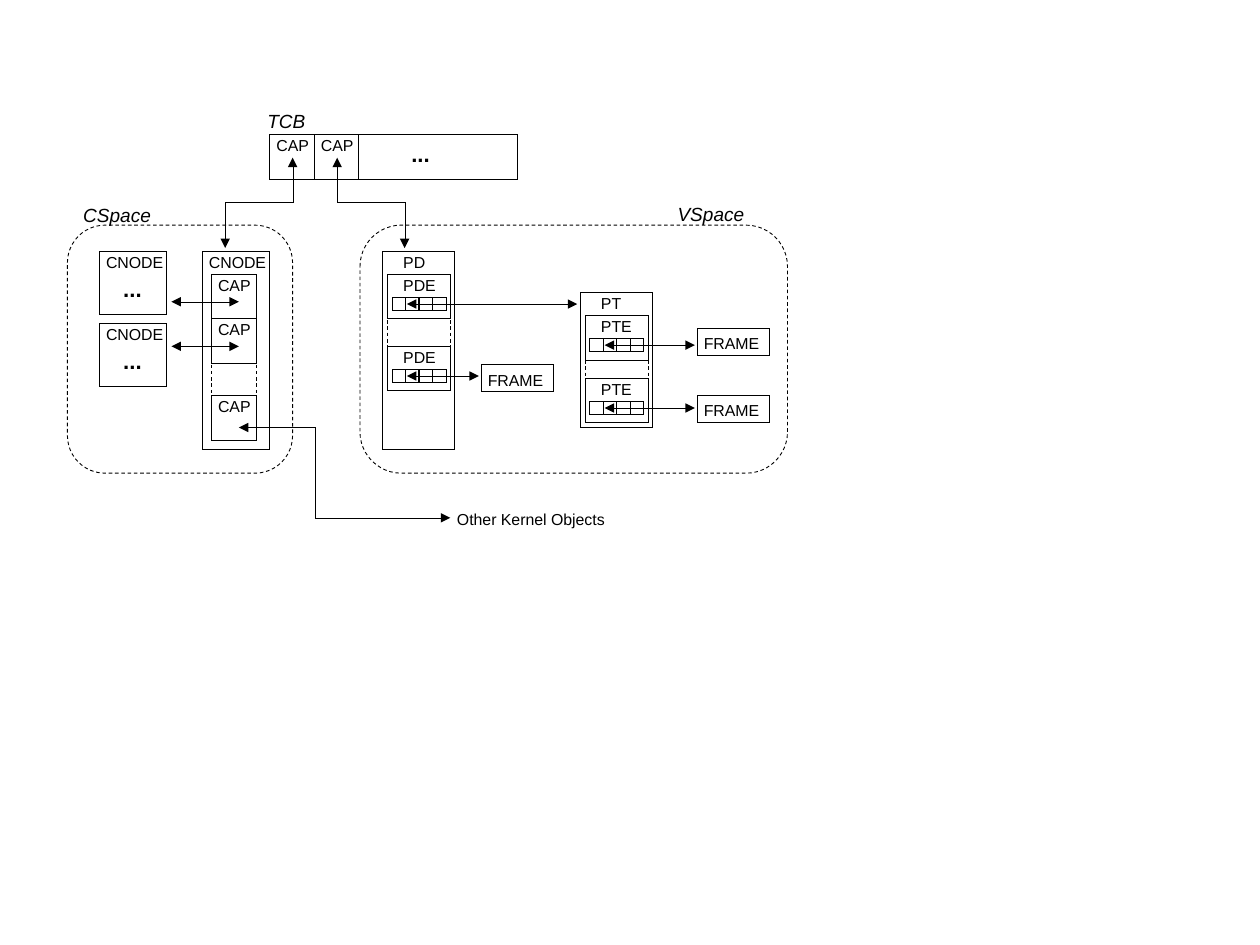
"""Draw the kernel object diagram: TCB, CSpace and VSpace."""
from lxml import etree
from pptx import Presentation
from pptx import util as u
from pptx.dml.color import RGBColor
from pptx.enum import dml, shapes, text
from pptx.oxml.ns import qn

COLORS = {"ink": "000000"}
FONT = "Arial"
HAIRLINE, DASHED = 0, 0.57

CAP_SIZE = (0.39, 0.39)
CNODE_SIZE = (0.59, 0.55)
ENTRY_SIZE = (0.55, 0.39)
FRAME_SIZE = (0.63, 0.24)
STRIP_WIDTH, STRIP_CELLS, CELL_SIZE = 0.47, 4, 0.12

SPACES = [(0.59, 1.97, 1.97, 2.17), (3.15, 1.97, 3.74, 2.17)]
TITLES = [("TCB", 2.24, 0.91), ("CSpace", 0.63, 1.73), ("VSpace", 5.83, 1.72)]
TCB_REST = (3.14, 1.18, 1.39, 0.39)
TABLES = [
    ("CNODE", (1.77, 2.2, 0.59, 1.73), -0.04),
    ("PD", (3.35, 2.2, 0.63, 1.73), 0.08),
    ("PT", (5.08, 2.56, 0.63, 1.18), 0.08),
]
CAPS = [(2.36, 1.18), (2.75, 1.18), (1.85, 2.4), (1.85, 2.79), (1.85, 3.46)]
CNODES = [(0.87, 2.2), (0.87, 2.83)]
ENTRIES = [
    ("PDE", 3.39, 2.4, 5.05),
    ("PDE", 3.39, 3.03, 4.19),
    ("PTE", 5.12, 2.76, 6.08),
    ("PTE", 5.12, 3.31, 6.08),
]
FRAMES = [(4.21, 3.19), (6.1, 2.87), (6.1, 3.46)]
CNODE_ARROWS = [2.64, 3.03]
GAPS = [(1.85, 0.39, 3.19, 3.46), (3.39, 0.55, 2.8, 3.07), (5.12, 0.55, 3.15, 3.31)]
ELBOWS = [
    [(2.56, 1.38), (2.56, 1.77), (1.97, 1.77), (1.97, 2.17)],
    [(2.95, 1.38), (2.95, 1.77), (3.54, 1.77), (3.54, 2.17)],
    [(2.09, 3.74), (2.76, 3.74), (2.76, 4.53), (3.94, 4.53)],
]


def style_line(shape, width=HAIRLINE, dashed=False, arrows=False):
    shape.line.color.rgb = RGBColor.from_string(COLORS["ink"])
    if dashed:
        shape.line.dash_style = dml.MSO_LINE.DASH
    line = shape._element.spPr.find(qn("a:ln"))
    line.set("w", str(u.Pt(width)))
    if arrows:
        for end in ("a:headEnd", "a:tailEnd"):
            etree.SubElement(line, qn(end), type="triangle")


def style_outline(shape, **line):
    shape.shadow.inherit = False
    shape.fill.background()
    style_line(shape, **line)


def add_box(slide, box, kind=shapes.MSO_SHAPE.RECTANGLE, **line):
    style_outline(slide.shapes.add_shape(kind, *map(u.Inches, box)), **line)


def add_text(slide, words, left, top, width=0.73, height=0.25, size=10, bold=False, italic=False):
    box = slide.shapes.add_textbox(*map(u.Inches, (left, top, width, height)))
    frame = box.text_frame
    frame.word_wrap = True
    frame.vertical_anchor = text.MSO_ANCHOR.TOP
    paragraph = frame.paragraphs[0]
    paragraph.text = words
    font = paragraph.runs[0].font
    font.name, font.size, font.bold, font.italic = FONT, u.Pt(size), bold, italic
    font.color.rgb = RGBColor.from_string(COLORS["ink"])


def add_line(slide, start, end, **line):
    connector = slide.shapes.add_connector(
        shapes.MSO_CONNECTOR.STRAIGHT, *map(u.Inches, (*start, *end)))
    style_line(connector, **line)
    etree.SubElement(connector._element.spPr, qn("a:effectLst"))


def add_elbow(slide, points):
    start, *rest = [tuple(map(u.Inches, point)) for point in points]
    builder = slide.shapes.build_freeform(*start)
    builder.add_line_segments(rest, close=False)
    style_outline(builder.convert_to_shape(), arrows=True)


def add_labelled_box(slide, words, box, shift_x=-0.04, shift_y=-0.04):
    add_box(slide, box)
    add_text(slide, words, box[0] + shift_x, box[1] + shift_y)


def add_dots(slide, left, top):
    add_text(slide, "...", left, top, width=0.5, height=0.32, size=14, bold=True)


def add_entry(slide, words, left, top, arrow_end):
    add_labelled_box(slide, words, (left, top, *ENTRY_SIZE), shift_x=0.04)
    for index in range(STRIP_CELLS):
        cell_left = left + 0.04 + index * STRIP_WIDTH / STRIP_CELLS
        add_box(slide, (cell_left, top + 0.2, CELL_SIZE, CELL_SIZE))
    arrow_top = top + 0.26
    add_line(slide, (left + 0.17, arrow_top), (arrow_end, arrow_top), arrows=True)


def main():
    presentation = Presentation()
    presentation.slide_width = u.Cm(28)
    presentation.slide_height = u.Cm(21)
    slide = presentation.slides.add_slide(presentation.slide_layouts[6])

    for words, box, shift in TABLES:
        add_labelled_box(slide, words, box, shift_x=shift)
    for cap in CAPS:
        add_labelled_box(slide, "CAP", (*cap, *CAP_SIZE))
    for left, top in CNODES:
        add_labelled_box(slide, "CNODE", (left, top, *CNODE_SIZE))
        add_dots(slide, left + 0.11, top + 0.16)
    for entry in ENTRIES:
        add_entry(slide, *entry)
    for frame in FRAMES:
        add_labelled_box(slide, "FRAME", (*frame, *FRAME_SIZE), shift_y=0)
    for top in CNODE_ARROWS:
        add_line(slide, (2.09, top), (1.5, top), arrows=True)
    for left, width, top, bottom in GAPS:
        for side in (left, left + width):
            add_line(slide, (side, top), (side, bottom), width=DASHED, dashed=True)
    add_box(slide, TCB_REST)
    add_dots(slide, 3.5, 1.18)
    for space in SPACES:
        add_box(slide, space, kind=shapes.MSO_SHAPE.FLOWCHART_ALTERNATE_PROCESS,
                width=DASHED, dashed=True)
    for words, left, top in TITLES:
        add_text(slide, words, left, top, width=0.94, height=0.29, size=12, italic=True)
    for elbow in ELBOWS:
        add_elbow(slide, elbow)
    add_text(slide, "Other Kernel Objects", 3.9, 4.41, width=1.6)
    presentation.save("out.pptx")


if __name__ == "__main__":
    main()
